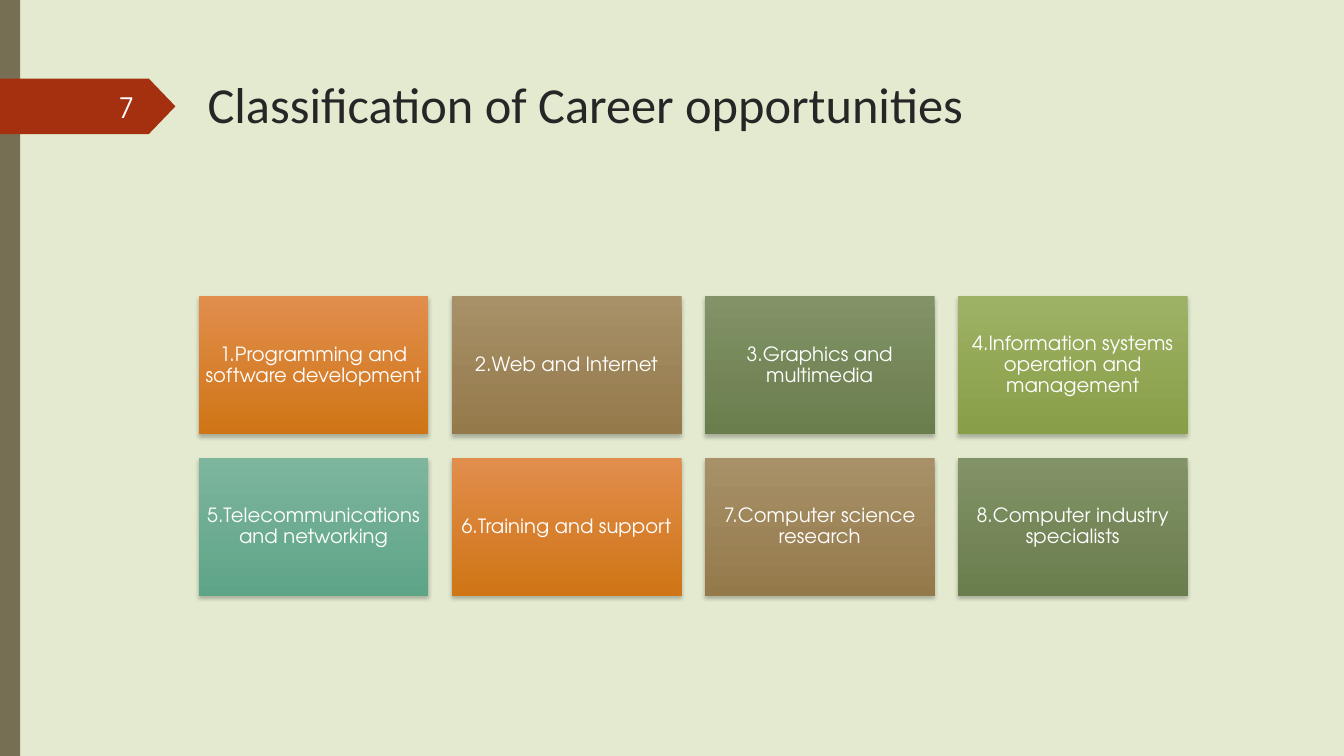
from dataclasses import dataclass

from lxml.etree import SubElement
from pptx import Presentation
from pptx.dml.color import RGBColor
from pptx.enum.shapes import MSO_SHAPE as Shape
from pptx.enum.text import MSO_ANCHOR as Anchor, PP_ALIGN as Align
from pptx.oxml.ns import qn
from pptx.util import Inches, Pt


@dataclass(frozen=True)
class Theme:
    background: str = "E3EACF"
    side_bar: str = "766F54"
    number_tag: str = "A53010"
    title: str = "262626"
    number: str = "FEFFFF"
    tile_text: str = "FFFFFF"
    # Top and bottom colour of each tile, used in turn
    tiles: tuple = (
        ("E18D4C", "CF7516"),
        ("A89068", "947A4B"),
        ("819367", "6A7D4D"),
        ("9DB265", "889E47"),
        ("7DB59D", "5EA588"),
    )
    title_font: str = "Calibri"
    body_font: str = "TeX Gyre Adventor"
    title_size: int = 36
    number_size: int = 20
    tile_size: int = 14


@dataclass(frozen=True)
class Grid:
    left: float = 1.97
    top: float = 2.94
    columns: int = 4
    column_step: float = 2.51
    row_step: float = 1.6
    tile_width: float = 2.28
    tile_height: float = 1.37

    def box(self, index):
        row, column = divmod(index, self.columns)
        return (self.left + column * self.column_step,
                self.top + row * self.row_step,
                self.tile_width, self.tile_height)


THEME = Theme()
GRID = Grid()
WIDTH, HEIGHT = 13.33, 7.5
CAREERS = (
    "1.Programming and software development",
    "2.Web and Internet",
    "3.Graphics and multimedia",
    "4.Information systems operation and management",
    "5.Telecommunications and networking",
    "6.Training and support",
    "7.Computer science research",
    "8.Computer industry specialists",
)


def rgb(color):
    return RGBColor.from_string(color)


def write(shape, text, font, size, color, align=Align.LEFT, anchor=Anchor.TOP):
    frame = shape.text_frame
    frame.word_wrap = True
    frame.vertical_anchor = anchor
    paragraph = frame.paragraphs[0]
    paragraph.alignment = align
    run = paragraph.add_run()
    run.text = text
    run.font.name = font
    run.font.size = Pt(size)
    run.font.color.rgb = rgb(color)


def add_text(slide, box, *args, **kwargs):
    write(slide.shapes.add_textbox(*map(Inches, box)), *args, **kwargs)


def add_plain_shape(slide, kind, box, color):
    shape = slide.shapes.add_shape(kind, *map(Inches, box))
    shape.shadow.inherit = False
    shape.fill.solid()
    shape.fill.fore_color.rgb = rgb(color)
    shape.line.fill.background()
    return shape


def add_soft_shadow(shape):
    """Cast a faint black shadow straight down."""
    effects = shape._element.spPr.find(qn("a:effectLst"))
    shadow = SubElement(effects, qn("a:outerShdw"), blurRad=str(Pt(3)),
                        dist=str(Pt(2)), dir="5400000", rotWithShape="0")
    black = SubElement(shadow, qn("a:srgbClr"), val="000000")
    SubElement(black, qn("a:alpha"), val="25000")


def add_tile(slide, box, text, colors):
    tile = add_plain_shape(slide, Shape.RECTANGLE, box, colors[0])
    tile.fill.gradient()
    tile.fill.gradient_angle = 270
    for stop, color in zip(tile.fill.gradient_stops, colors):
        stop.color.rgb = rgb(color)
    add_soft_shadow(tile)
    write(tile, text, THEME.body_font, THEME.tile_size, THEME.tile_text,
          Align.CENTER, Anchor.MIDDLE)
    frame = tile.text_frame
    frame.margin_left = frame.margin_right = Inches(0.06)
    frame.margin_top = frame.margin_bottom = Inches(0.06)
    frame.paragraphs[0].line_spacing = 0.9


def main():
    presentation = Presentation()
    presentation.slide_width = Inches(WIDTH)
    presentation.slide_height = Inches(HEIGHT)
    slide = presentation.slides.add_slide(presentation.slide_layouts[6])
    slide.background.fill.solid()
    slide.background.fill.fore_color.rgb = rgb(THEME.background)

    add_text(slide, (1.96, 0.68, 10.62, 1.4), "Classification of Career opportunities",
             THEME.title_font, THEME.title_size, THEME.title)
    add_plain_shape(slide, Shape.RECTANGLE, (0, 0, 0.2, HEIGHT), THEME.side_bar)
    tag = add_plain_shape(slide, Shape.PENTAGON, (0, 0.78, 1.74, 0.55), THEME.number_tag)
    tag.adjustments[0] = 0.48
    for index, career in enumerate(CAREERS):
        add_tile(slide, GRID.box(index), career, THEME.tiles[index % len(THEME.tiles)])
    add_text(slide, (0.58, 0.86, 0.85, 0.4), "7", THEME.body_font, THEME.number_size,
             THEME.number, align=Align.RIGHT, anchor=Anchor.MIDDLE)

    presentation.save("out.pptx")


if __name__ == "__main__":
    main()
